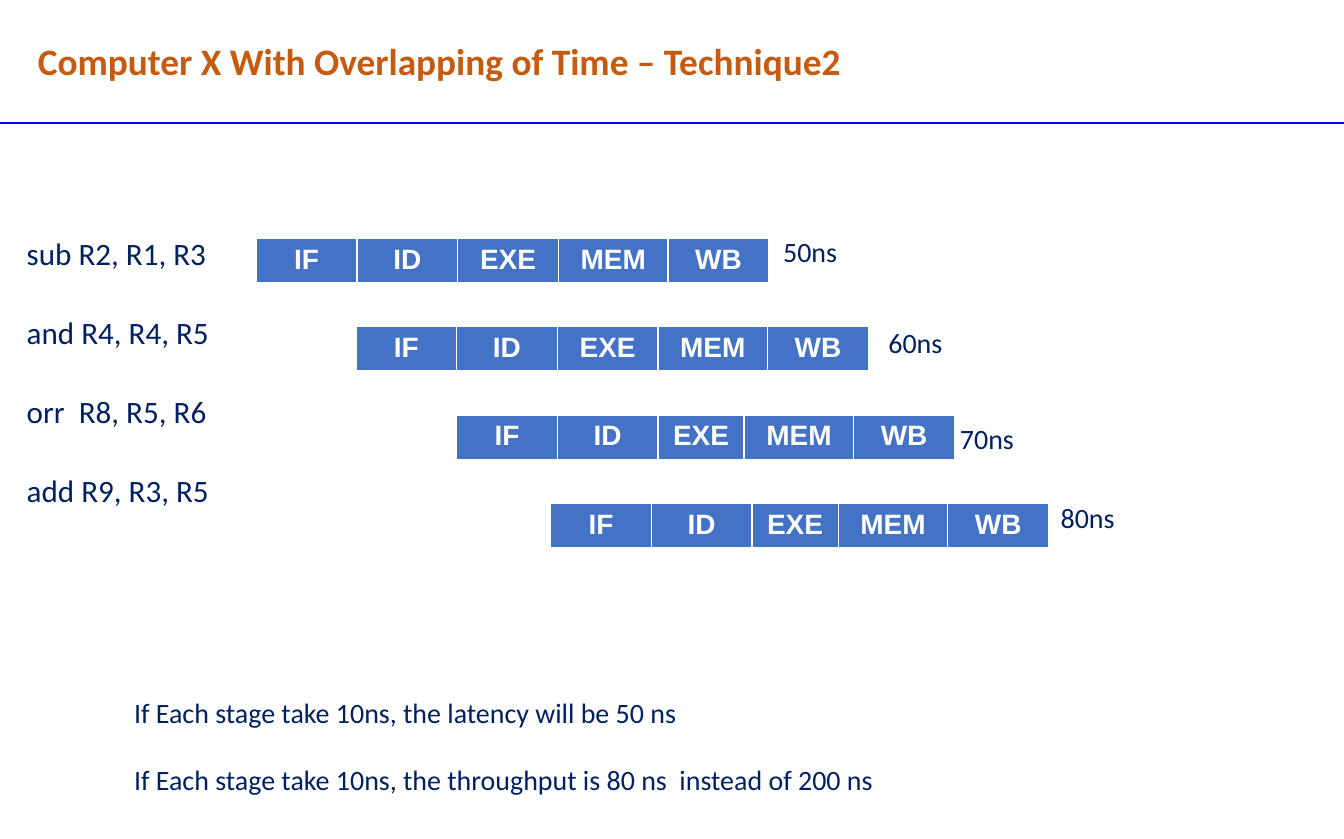
from lxml import etree
from pptx import Presentation
from pptx.dml.color import RGBColor
from pptx.enum.shapes import MSO_CONNECTOR
from pptx.enum.text import PP_ALIGN
from pptx.oxml import parse_xml
from pptx.oxml.ns import nsdecls, qn
from pptx.util import Inches, Pt

STRAIGHT = MSO_CONNECTOR.STRAIGHT
CENTER = PP_ALIGN.CENTER

SLIDE_WIDTH, SLIDE_HEIGHT = 12.01, 7.5
NAVY, ORANGE, BLUE, RULE_BLUE, WHITE = "002060", "C55A11", "4472C4", "0000FF", "FFFFFF"

TITLE = "Computer X With Overlapping of Time – Technique2"
INSTRUCTIONS = ["sub R2, R1, R3", "and R4, R4, R5", "orr  R8, R5, R6", "add R9, R3, R5"]
NOTES = [
    "If Each stage take 10ns, the latency will be 50 ns",
    "If Each stage take 10ns, the throughput is 80 ns  instead of 200 ns",
]
STAGES = ["IF", "ID", "EXE", "MEM", "WB"]
WIDE_STAGES = [0.9, 0.9, 0.9, 0.98, 0.9]
TIGHT_STAGES = [0.9, 0.9, 0.77, 0.98, 0.9]
PIPELINES = [
    (2.29, WIDE_STAGES, "50ns", (6.9, 2.05)),
    (3.18, WIDE_STAGES, "60ns", (7.84, 2.86)),
    (4.08, TIGHT_STAGES, "70ns", (8.48, 3.72)),
    (4.92, TIGHT_STAGES, "80ns", (9.38, 4.43)),
]
FIRST_ROW_TOP, ROW_PITCH, ROW_HEIGHT = 2.13, 0.79, 0.41
BORDERS = [("lnL", 1), ("lnR", 1), ("lnT", 1), ("lnB", 3)]


def color(value):
    return RGBColor.from_string(value)


def style_font(paragraph, size, value, name="Calibri", bold=False):
    for run in paragraph.runs:
        run.font.size = Pt(size)
        run.font.name = name
        run.font.bold = bold
        run.font.color.rgb = color(value)


def add_text(slide, box, lines, size, value=NAVY, bold=False, gap=0, line_spacing=1.0):
    frame = slide.shapes.add_textbox(*map(Inches, box)).text_frame
    frame.word_wrap = True
    frame.text = "\n".join(lines)
    for index, paragraph in enumerate(frame.paragraphs):
        paragraph.line_spacing = line_spacing
        if index:
            paragraph.space_before = Pt(gap)
        style_font(paragraph, size, value, bold=bold)


def add_borders(cell):
    properties = cell._tc.get_or_add_tcPr()
    for position, (side, width) in enumerate(BORDERS):
        border = parse_xml(
            f'<a:{side} {nsdecls("a")} w="{Pt(width)}"><a:solidFill>'
            f'<a:srgbClr val="{WHITE}"/></a:solidFill></a:{side}>'
        )
        properties.insert(position, border)


def add_pipeline(slide, left, top, widths):
    frame = slide.shapes.add_table(
        1, len(STAGES), Inches(left), Inches(top), Inches(sum(widths)), Inches(ROW_HEIGHT)
    )
    table = frame.table
    table.first_row = False
    table.horz_banding = False
    for column, (stage, width) in enumerate(zip(STAGES, widths)):
        table.columns[column].width = Inches(width)
        cell = table.cell(0, column)
        cell.margin_left = cell.margin_right = Inches(0.12)
        cell.fill.solid()
        cell.fill.fore_color.rgb = color(BLUE)
        add_borders(cell)
        cell.text_frame.text = stage
        paragraph = cell.text_frame.paragraphs[0]
        paragraph.alignment = CENTER
        style_font(paragraph, 18, WHITE, "Arial", True)


def add_rule(slide, top):
    rule = slide.shapes.add_connector(
        STRAIGHT, 0, Inches(top), Inches(SLIDE_WIDTH), Inches(top)
    )
    rule.line.color.rgb = color(RULE_BLUE)
    rule.line.width = Pt(0.75)
    etree.SubElement(rule._element.spPr, qn("a:effectLst"))


def main():
    presentation = Presentation()
    presentation.slide_width = Inches(SLIDE_WIDTH)
    presentation.slide_height = Inches(SLIDE_HEIGHT)
    slide = presentation.slides.add_slide(presentation.slide_layouts[6])

    add_rule(slide, 1.1)
    add_text(slide, (0.24, 0.29, 8.86, 0.5), [TITLE], 24, ORANGE, bold=True)
    add_text(slide, (0.14, 2.08, 2.36, 3.34), INSTRUCTIONS, 20, gap=29.3, line_spacing=0.9)
    for row, (left, widths, time, label_at) in enumerate(PIPELINES):
        add_pipeline(slide, left, FIRST_ROW_TOP + row * ROW_PITCH, widths)
        add_text(slide, (*label_at, 0.83, 0.4), [time], 18)
    add_text(slide, (1.1, 6.17, 8.27, 1.01), NOTES, 18, gap=21.5)

    presentation.save("out.pptx")


if __name__ == "__main__":
    main()
